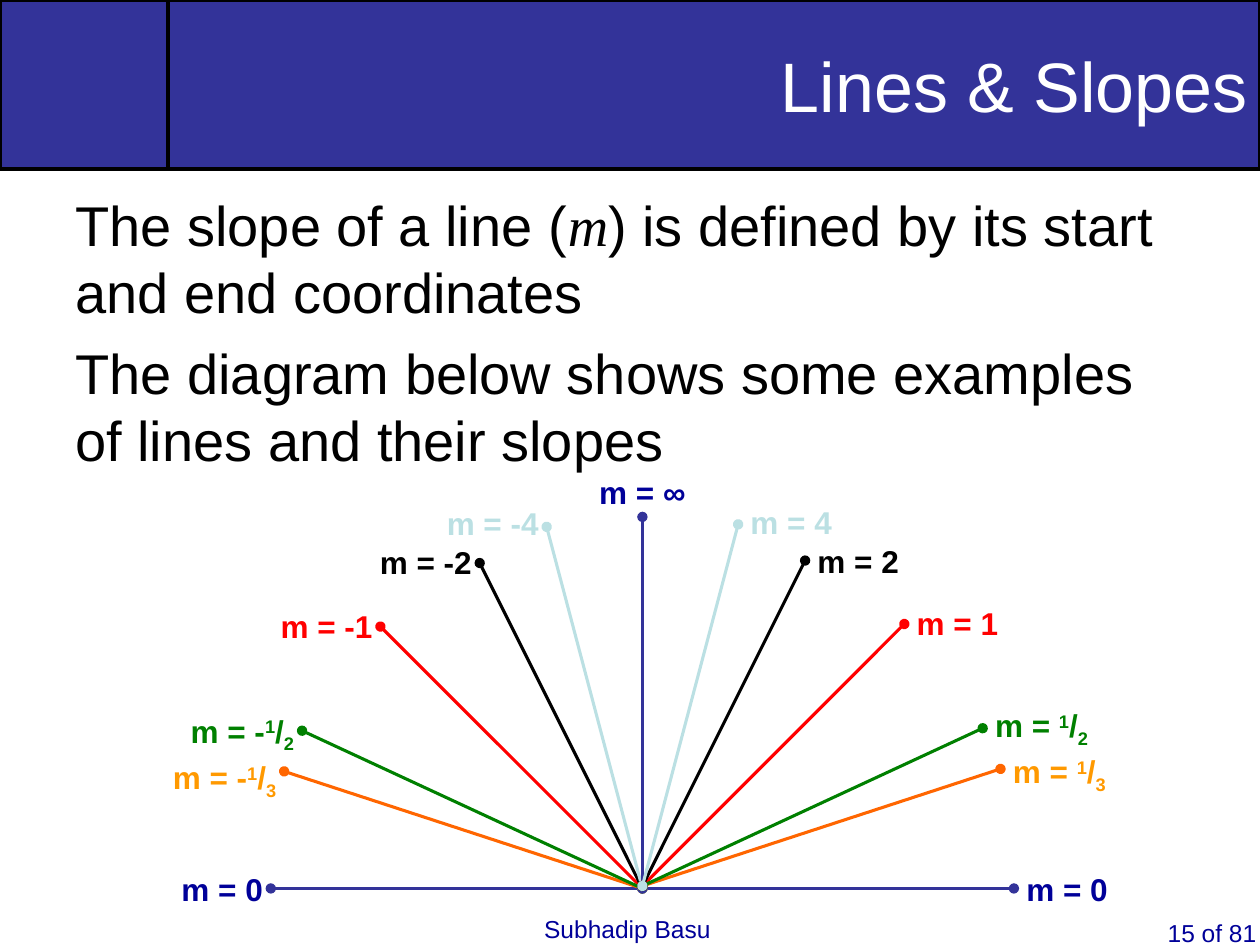
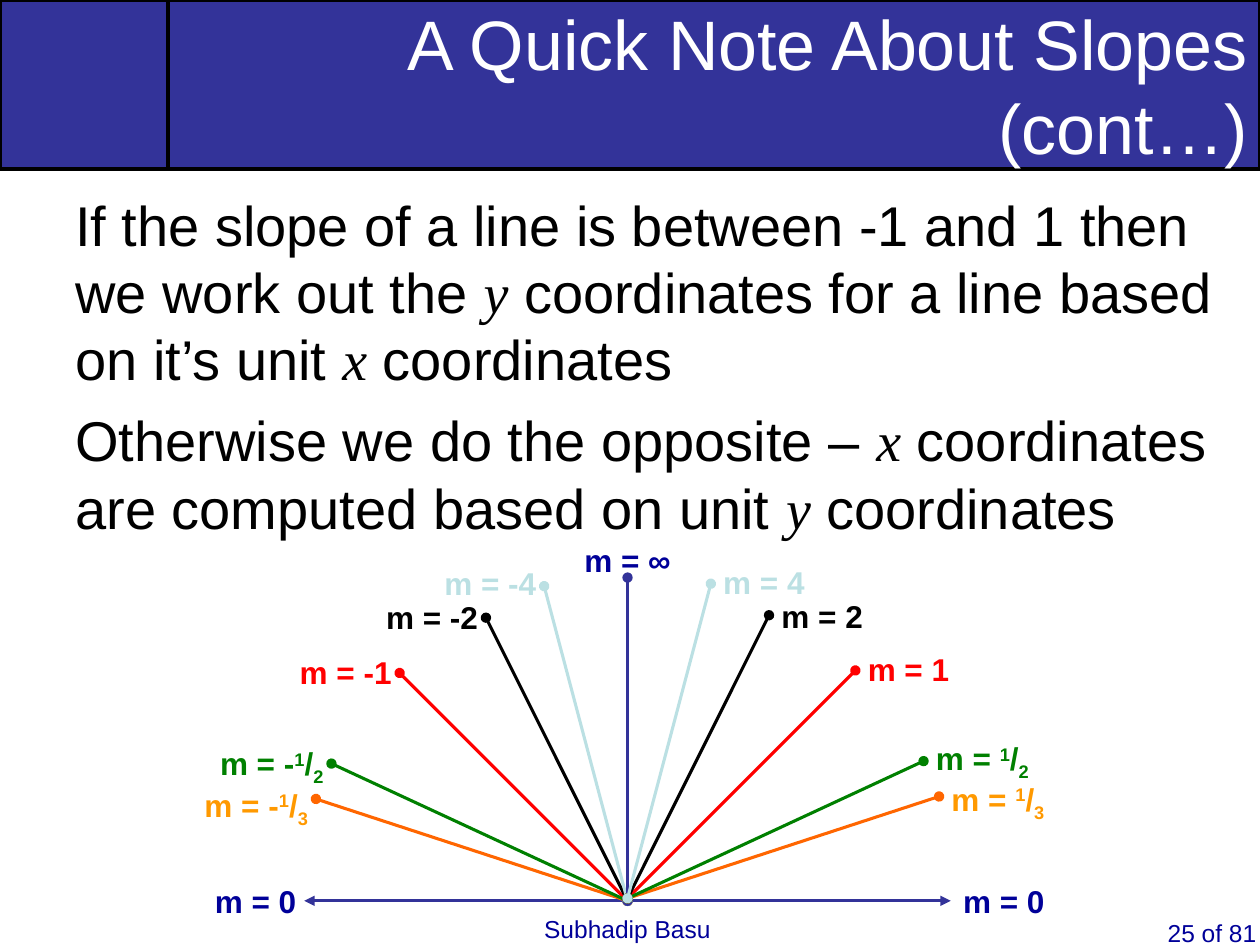
"""Build two slides that compare the slopes of lines in a fan diagram."""
from collections import namedtuple
from dataclasses import dataclass

from lxml import etree
from pptx import Presentation
from pptx import util as u
from pptx.dml.color import RGBColor
from pptx.enum import shapes, text
from pptx.oxml import ns


@dataclass(frozen=True)
class Theme:
    """Colours, fonts and type sizes shared by the slides."""

    band: str = "333399"
    outline: str = "000000"
    title: str = "FFFFFF"
    body: str = "000000"
    accent: str = "000099"
    sans: str = "Arial"
    serif: str = "Times New Roman"
    title_size: int = 40
    body_size: int = 32
    label_size: int = 18
    footer_size: int = 14
    outline_width: float = 2
    ray_width: float = 1.75


THEME = Theme()
TITLE_ONLY = 5
CORNER = (0, 0, 3.39, 3.41)
TITLE_BAND = (3.39, 0, 22.01, 3.41)
AUTHOR = (10.72, 18.31, 3.86, 0.86)
PAGE = (23.29, 18.39, 2.49, 1.45)
LABEL_WIDTH, MINUS_WIDTH, FRACTION_WIDTH, INFINITY_WIDTH = 2.16, 0.23, 0.25, 0.12
LABEL_HEIGHT, FRACTION_HEIGHT = 1.02, 1.12
RIGHT_RAISE = 0.05
LEFT_OVERLAP = 0.09
HORIZON_REACH = 7.49
HORIZON_LIFT = 0.5
VERTICAL_REACH = 7.49

Ray = namedtuple("Ray", "slope run rise colour label_colour left_lift right_lift")
RAYS = (
    Ray("1", 5.28, 5.28, "FF0000", "FF0000", 0.52, 0.53),
    Ray("1/3", 7.22, 2.36, "FF6600", "FF9900", 0.39, 0.46),
    Ray("1/2", 6.86, 3.18, "008000", "008000", 0.51, 0.57),
    Ray("2", 3.28, 6.56, "000000", "000000", 0.52, 0.5),
    Ray("4", 1.93, 7.29, "BBE0E3", "BBE0E3", 0.58, 0.55),
)


def lengths(values):
    """Turn centimetre numbers into lengths."""
    return [u.Cm(value) for value in values]


def format_run(run, size, colour, font=THEME.sans, bold=False, italic=False):
    """Set the font of one run."""
    run.font.name = font
    run.font.size = u.Pt(size)
    run.font.bold = bold
    run.font.italic = italic
    run.font.color.rgb = RGBColor.from_string(colour)


def style_band(shape):
    """Give a header rectangle its fill and outline."""
    shape.fill.solid()
    shape.fill.fore_color.rgb = RGBColor.from_string(THEME.band)
    shape.line.color.rgb = RGBColor.from_string(THEME.outline)
    shape.line.width = u.Pt(THEME.outline_width)


def add_text_box(slide, box, wrap=False):
    """Add an empty text box, grown to its text unless it wraps."""
    frame = slide.shapes.add_textbox(*lengths(box)).text_frame
    frame.word_wrap = wrap
    if not wrap:
        frame.auto_size = text.MSO_AUTO_SIZE.SHAPE_TO_FIT_TEXT
    return frame


def add_footer(slide, box, words, wrap=False):
    """Add one footer text."""
    frame = add_text_box(slide, box, wrap)
    frame.text = words
    format_run(frame.paragraphs[0].runs[0], THEME.footer_size, THEME.accent)


def add_titled_slide(presentation, title, page):
    """Add a slide with its header band and footers."""
    slide = presentation.slides.add_slide(presentation.slide_layouts[TITLE_ONLY])
    corner = slide.shapes.add_shape(shapes.MSO_SHAPE.RECTANGLE, *lengths(CORNER))
    corner.shadow.inherit = False
    style_band(corner)

    band = slide.shapes.title
    band.left, band.top, band.width, band.height = lengths(TITLE_BAND)
    style_band(band)
    frame = band.text_frame
    frame.text = title
    frame.word_wrap = True
    frame.auto_size = text.MSO_AUTO_SIZE.NONE
    frame.vertical_anchor = text.MSO_ANCHOR.MIDDLE
    paragraph = frame.paragraphs[0]
    paragraph.alignment = text.PP_ALIGN.RIGHT
    format_run(paragraph.runs[0], THEME.title_size, THEME.title)

    add_footer(slide, PAGE, f"{page} of 81", wrap=True)
    add_footer(slide, AUTHOR, "Subhadip Basu")
    return slide


def add_body(slide, box, statements):
    """Add body paragraphs, with variables between asterisks in serif italics."""
    frame = add_text_box(slide, box, wrap=True)
    for index, statement in enumerate(statements):
        paragraph = frame.add_paragraph() if index else frame.paragraphs[0]
        if index:
            paragraph.space_before = u.Pt(8)
        for position, piece in enumerate(statement.split("*")):
            variable = position % 2 == 1
            run = paragraph.add_run()
            run.text = piece
            format_run(run, THEME.body_size, THEME.body,
                       THEME.serif if variable else THEME.sans, italic=variable)


def add_line(slide, start, end, colour, tip="oval"):
    """Add a straight line with the same tip at both ends."""
    line = slide.shapes.add_connector(
        shapes.MSO_CONNECTOR.STRAIGHT, *lengths((*start, *end)))
    line.line.color.rgb = RGBColor.from_string(colour)
    line.line.width = u.Pt(THEME.ray_width)
    outline = line.line._get_or_add_ln()
    for tag in ("a:headEnd", "a:tailEnd"):
        etree.SubElement(outline, ns.qn(tag)).set("type", tip)
    etree.SubElement(line._element.spPr, ns.qn("a:effectLst"))


def add_label(slide, slope, x, y, colour, alignment=text.PP_ALIGN.LEFT):
    """Add a slope label whose aligned edge or centre is at x and top at y."""
    fraction = "/" in slope
    width = (LABEL_WIDTH + MINUS_WIDTH * slope.startswith("-")
             + FRACTION_WIDTH * fraction + INFINITY_WIDTH * (slope == "∞"))
    shift = {text.PP_ALIGN.LEFT: 0, text.PP_ALIGN.CENTER: width / 2,
             text.PP_ALIGN.RIGHT: width}[alignment]
    height = FRACTION_HEIGHT if fraction else LABEL_HEIGHT
    frame = add_text_box(slide, (x - shift, y, width, height))
    paragraph = frame.paragraphs[0]
    paragraph.alignment = alignment
    pieces = [(f"m = {slope}", 0)]
    if fraction:
        top, bottom = slope.split("/")
        pieces = [("m = " + top[:-1], 0), (top[-1], 30), ("/", 0), (bottom, -25)]
    for words, baseline in pieces:
        run = paragraph.add_run()
        run.text = words
        format_run(run, THEME.label_size, colour, bold=True)
        if baseline:
            run.font._element.set("baseline", str(baseline * 1000))


def add_slope_fan(slide, hub, scale=1, horizon_tip="oval"):
    """Draw labelled lines of several slopes around a hub."""
    x, y = hub
    reach = HORIZON_REACH * scale
    add_line(slide, (x - reach, y), (x + reach, y), THEME.band, horizon_tip)
    add_label(slide, "0", x - reach + LEFT_OVERLAP, y - HORIZON_LIFT,
              THEME.accent, text.PP_ALIGN.RIGHT)
    add_label(slide, "0", x + reach, y - HORIZON_LIFT, THEME.accent)

    for ray in RAYS:
        end_x, end_y = x - ray.run * scale, y - ray.rise * scale
        add_line(slide, hub, (end_x, end_y), ray.colour)
        add_label(slide, "-" + ray.slope, end_x + LEFT_OVERLAP,
                  end_y - ray.left_lift, ray.label_colour, text.PP_ALIGN.RIGHT)

    peak = y - VERTICAL_REACH * scale
    add_line(slide, hub, (x, peak), THEME.band)
    add_label(slide, "∞", x, peak - scale, THEME.accent, text.PP_ALIGN.CENTER)

    base = y - RIGHT_RAISE
    for ray in RAYS:
        end_x, end_y = x + ray.run * scale, base - ray.rise * scale
        add_line(slide, (x, base), (end_x, end_y), ray.colour)
        add_label(slide, ray.slope, end_x, end_y - ray.right_lift, ray.label_colour)


def main():
    """Build and save the presentation."""
    presentation = Presentation()
    presentation.slide_width = u.Cm(25.4)
    presentation.slide_height = u.Cm(19.05)

    slide = add_titled_slide(presentation, "Lines & Slopes", 15)
    add_body(slide, (1.27, 3.71, 22.86, 6.35), (
        "The slope of a line (*m*) is defined by its start and end coordinates",
        "The diagram below shows some examples of lines and their slopes",
    ))
    add_slope_fan(slide, (12.95, 17.91))

    slide = add_titled_slide(presentation, "A Quick Note About Slopes (cont…)", 25)
    add_body(slide, (1.27, 3.71, 24.13, 15.34), (
        "If the slope of a line is between -1 and 1 then we work out the *y* "
        "coordinates for a line based on it’s unit *x* coordinates",
        "Otherwise we do the opposite – *x* coordinates are computed based on "
        "unit *y* coordinates",
    ))
    add_slope_fan(slide, (12.65, 18.16), scale=0.87, horizon_tip="triangle")

    presentation.save("out.pptx")


if __name__ == "__main__":
    main()
